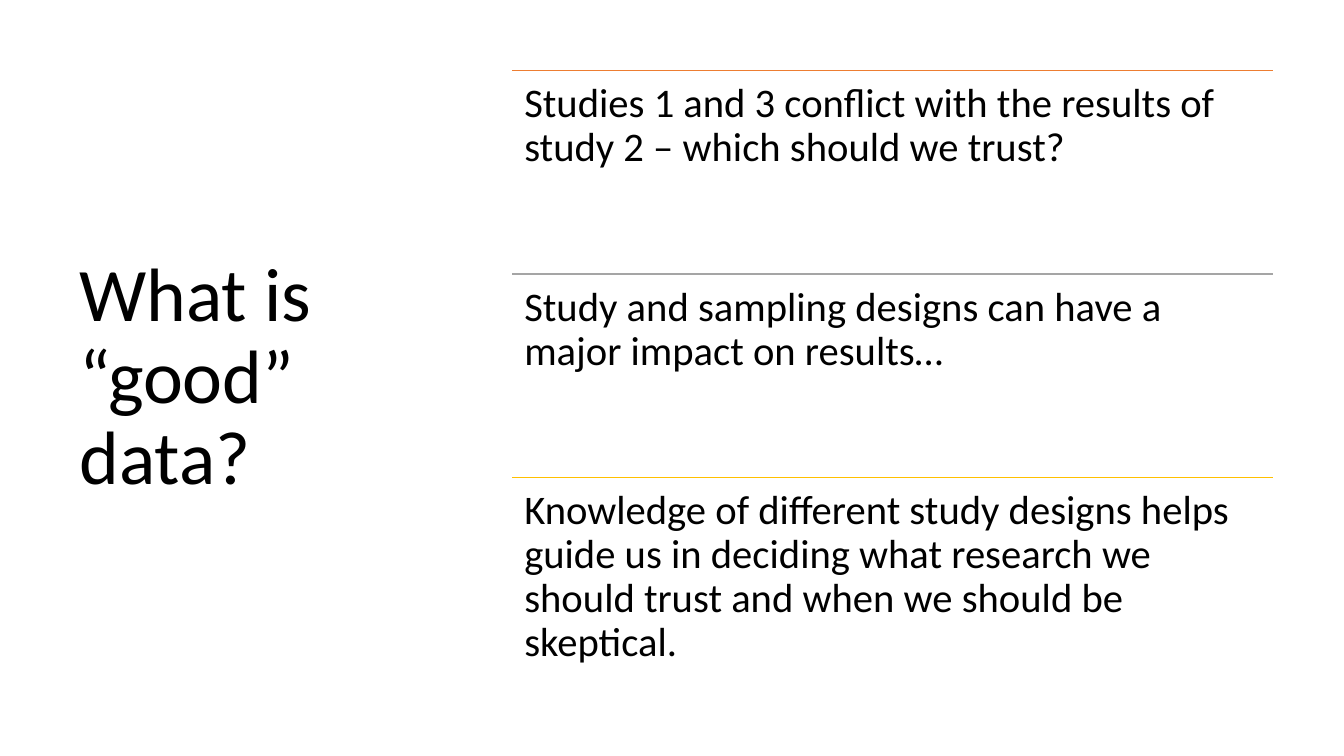
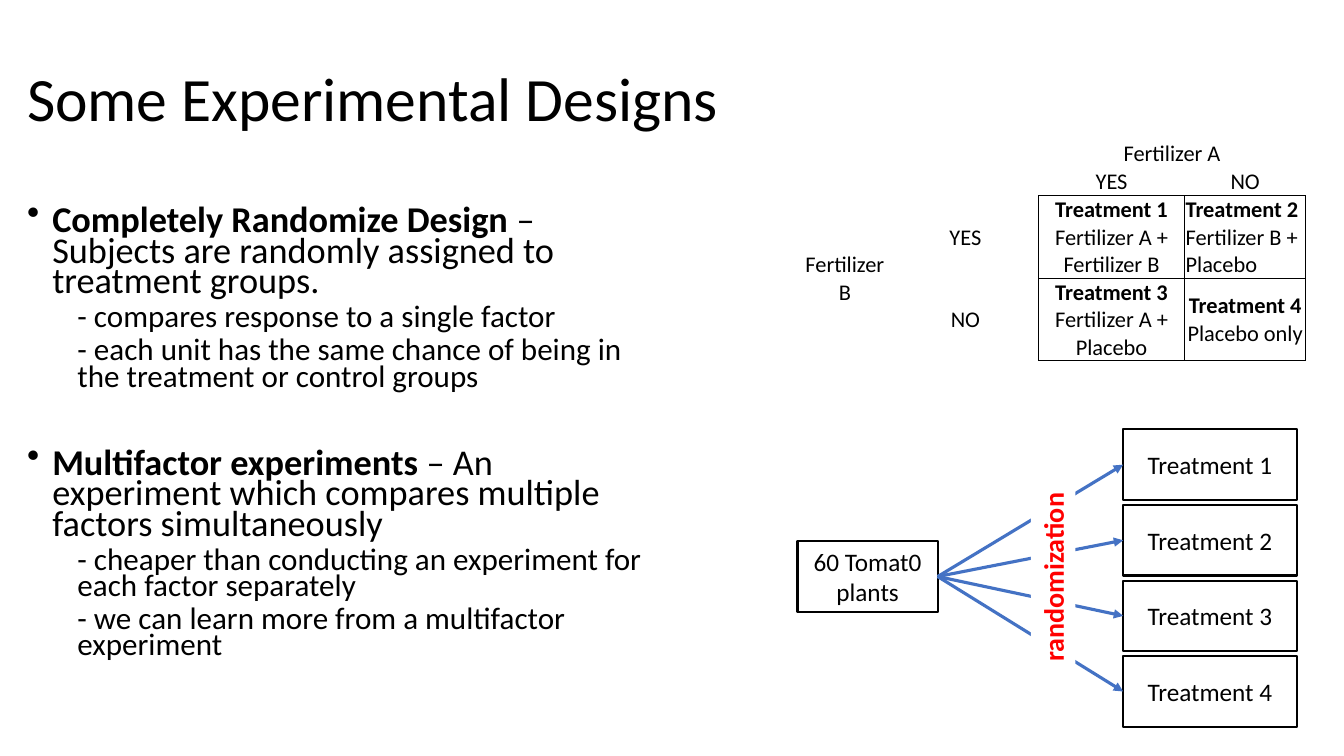
from pptx import Presentation
from pptx.dml.color import RGBColor
from pptx.enum.shapes import MSO_CONNECTOR as Connector, MSO_SHAPE as Shape
from pptx.enum.text import MSO_ANCHOR as Anchor, PP_ALIGN as Align
from pptx.oxml.ns import qn
from pptx.util import Inches, Pt
from lxml import etree

BLACK = RGBColor(0x00, 0x00, 0x00)
WHITE = RGBColor(0xFF, 0xFF, 0xFF)
RED = RGBColor(0xFF, 0x00, 0x00)
ORANGE = RGBColor(0xED, 0x7D, 0x31)
GRAY = RGBColor(0xA5, 0xA5, 0xA5)
GOLD = RGBColor(0xFF, 0xC0, 0x00)
BLUE = RGBColor(0x44, 0x72, 0xC4)
FONT = "Calibri"

STATEMENTS = [
    (ORANGE, "Studies 1 and 3 conflict with the results of study 2 – which should we trust?"),
    (GRAY, "Study and sampling designs can have a major impact on results…"),
    (GOLD, "Knowledge of different study designs helps guide us in deciding what "
           "research we should trust and when we should be skeptical."),
]

DESIGNS = [
    ("Completely Randomize Design ",
     "– Subjects are randomly assigned to treatment groups.",
     ["- compares response to a single factor",
      "- each unit has the same chance of being in the treatment or control groups"]),
    ("Multifactor experiments ",
     "– An experiment which compares multiple factors simultaneously",
     ["- cheaper than conducting an experiment for each factor separately",
      "- we can learn more from a multifactor experiment"]),
]

# Each cell holds its bold text and its regular text.
FACTOR_CELLS = [
    [("", ""), ("", ""), ("", "Fertilizer A"), ("", "")],
    [("", ""), ("", ""), ("", "YES"), ("", "NO")],
    [("", "Fertilizer B"), ("", "YES"),
     ("Treatment 1", " Fertilizer A + Fertilizer B"),
     ("Treatment 2", " Fertilizer B + Placebo")],
    [("", ""), ("", "NO"),
     ("Treatment 3 ", "Fertilizer A + Placebo"),
     ("Treatment 4", " Placebo only")],
]
COLUMN_WIDTHS = [0.94, 1.45, 1.45, 1.2]
ROW_HEIGHTS = [0.28, 0.28, 0.82, 0.82]


def add_run(paragraph, text, size, color=BLACK, bold=False):
    run = paragraph.add_run()
    run.text = text
    run.font.name = FONT
    run.font.size = Pt(size)
    run.font.color.rgb = color
    run.font.bold = bold


def add_text_box(slide, left, top, width, height, inset=None):
    box = slide.shapes.add_textbox(Inches(left), Inches(top), Inches(width), Inches(height))
    frame = box.text_frame
    frame.word_wrap = True
    if inset is not None:
        frame.margin_left = frame.margin_right = Inches(inset)
        frame.margin_top = frame.margin_bottom = Inches(inset)
    return box


def add_title(slide, text, left, top, width, height, size):
    frame = add_text_box(slide, left, top, width, height).text_frame
    frame.vertical_anchor = Anchor.MIDDLE
    paragraph = frame.paragraphs[0]
    paragraph.line_spacing = 0.9
    add_run(paragraph, text, size)


def style_connector(connector, color, width):
    connector.line.color.rgb = color
    connector.line.width = Pt(width)
    etree.SubElement(connector._element.spPr, qn("a:effectLst"))


def add_statement(slide, top, color, text):
    """Add a coloured rule with its statement below."""
    left, width, height = 5.08, 7.55, 2.02
    rule = slide.shapes.add_connector(
        Connector.STRAIGHT, Inches(left), Inches(top), Inches(left + width), Inches(top))
    style_connector(rule, color, 1)
    box = add_text_box(slide, left, top, width, height, inset=0.12)
    paragraph = box.text_frame.paragraphs[0]
    paragraph.line_spacing = 0.9
    add_run(paragraph, text, 29)


def format_list_paragraph(paragraph, margin, indent, bullet=None):
    properties = paragraph._p.get_or_add_pPr()
    properties.set("marL", str(Inches(margin)))
    properties.set("indent", str(Inches(indent)))
    if bullet:
        etree.SubElement(properties, qn("a:buChar")).set("char", bullet)
    paragraph.line_spacing = 0.7


def add_design_list(slide):
    frame = add_text_box(slide, 0.17, 2.02, 6.45, 4.76).text_frame
    for index, (name, definition, remarks) in enumerate(DESIGNS):
        paragraph = frame.add_paragraph() if index else frame.paragraphs[0]
        format_list_paragraph(paragraph, 0.25, -0.25, "•")
        if index:
            paragraph.space_before = Pt(42)
        add_run(paragraph, name, 25.9, bold=True)
        add_run(paragraph, definition, 25.9)
        for remark in remarks:
            paragraph = frame.add_paragraph()
            format_list_paragraph(paragraph, 0.5, 0)
            paragraph.level = 1
            paragraph.space_before = Pt(5)
            add_run(paragraph, remark, 22.2)


def set_borders(cell, sides):
    """Draw thin black borders on the given sides (of L, R, T, B), none elsewhere."""
    properties = cell._tc.get_or_add_tcPr()
    for position, side in enumerate("LRTB"):
        border = etree.Element(qn(f"a:ln{side}"), w=str(Pt(0.5)))
        if side in sides:
            fill = etree.SubElement(border, qn("a:solidFill"))
            etree.SubElement(fill, qn("a:srgbClr")).set("val", str(BLACK))
        else:
            etree.SubElement(border, qn("a:noFill"))
        properties.insert(position, border)


def fill_cell(cell, bold_text, regular_text):
    cell.fill.background()
    cell.margin_left = cell.margin_right = cell.margin_top = Inches(0.01)
    cell.margin_bottom = 0
    paragraph = cell.text_frame.paragraphs[0]
    paragraph.alignment = Align.CENTER
    for text, bold in ((bold_text, True), (regular_text, False)):
        if text:
            add_run(paragraph, text, 16, bold=bold)
    if not paragraph.runs:
        paragraph._p.get_or_add_endParaRPr().set("sz", "1600")


def border_sides(row, column):
    if row >= 2 and column >= 2:
        return "LRTB"
    if row == 1 and column >= 2:
        return "B"
    if row >= 2 and column == 1:
        return "R"
    return ""


def add_factor_table(slide):
    frame = slide.shapes.add_table(
        len(ROW_HEIGHTS), len(COLUMN_WIDTHS), Inches(7.91), Inches(1.38),
        Inches(sum(COLUMN_WIDTHS)), Inches(sum(ROW_HEIGHTS)))
    table = frame.table
    table.first_row = table.horz_banding = False
    for column, width in zip(table.columns, COLUMN_WIDTHS):
        column.width = Inches(width)
    for row, height in zip(table.rows, ROW_HEIGHTS):
        row.height = Inches(height)
    for row, texts in enumerate(FACTOR_CELLS):
        for column, (bold_text, regular_text) in enumerate(texts):
            cell = table.cell(row, column)
            fill_cell(cell, bold_text, regular_text)
            cell.vertical_anchor = Anchor.BOTTOM if row < 2 else Anchor.MIDDLE
            set_borders(cell, border_sides(row, column))
    table.cell(0, 2).merge(table.cell(0, 3))
    table.cell(2, 0).merge(table.cell(3, 0))
    second_treatment = table.cell(2, 3)
    second_treatment.vertical_anchor = Anchor.BOTTOM
    second_treatment.text_frame.paragraphs[0].alignment = Align.LEFT


def add_outlined_box(slide, text, left, top, width):
    box = slide.shapes.add_shape(
        Shape.RECTANGLE, Inches(left), Inches(top), Inches(width), Inches(0.7))
    box.shadow.inherit = False
    box.fill.background()
    box.line.color.rgb = BLACK
    box.line.width = Pt(1.5)
    box.text_frame.vertical_anchor = Anchor.MIDDLE
    paragraph = box.text_frame.paragraphs[0]
    paragraph.alignment = Align.CENTER
    add_run(paragraph, text, 18)
    return box


def add_arrow(slide, source, target):
    """Join the right side of source to the left side of target."""
    arrow = slide.shapes.add_connector(Connector.STRAIGHT, 0, 0, 0, 0)
    arrow.begin_connect(source, 3)
    arrow.end_connect(target, 1)
    style_connector(arrow, BLUE, 2.25)
    etree.SubElement(arrow.line._get_or_add_ln(), qn("a:tailEnd")).set("type", "triangle")


def add_randomization_diagram(slide):
    plants = add_outlined_box(slide, "60 Tomat0 plants", 7.91, 5.37, 1.39)
    treatments = [
        add_outlined_box(slide, f"Treatment {index + 1}", 11.14, 4.26 + 0.75 * index, 1.72)
        for index in range(4)
    ]
    for treatment in treatments:
        add_arrow(slide, plants, treatment)
    label = add_text_box(slide, 9.5, 5.5, 1.89, 0.44)
    label.rotation = 270
    label.fill.solid()
    label.fill.fore_color.rgb = WHITE
    label.text_frame.word_wrap = False
    add_run(label.text_frame.paragraphs[0], "randomization", 20, RED, bold=True)


def build_good_data_slide(slide):
    add_title(slide, "What is “good” data?", 0.69, 0.7, 3.74, 6.11, 54)
    for index, (color, text) in enumerate(STATEMENTS):
        add_statement(slide, 0.7 + 2.02 * index, color, text)


def build_designs_slide(slide):
    add_title(slide, "Some Experimental Designs", 0.17, 0.28, 11.5, 1.45, 44)
    add_design_list(slide)
    add_factor_table(slide)
    add_randomization_diagram(slide)


def main():
    presentation = Presentation()
    presentation.slide_width = Inches(13.33)
    presentation.slide_height = Inches(7.5)
    blank = presentation.slide_layouts[6]
    for build in (build_good_data_slide, build_designs_slide):
        build(presentation.slides.add_slide(blank))
    presentation.save("out.pptx")


if __name__ == "__main__":
    main()
